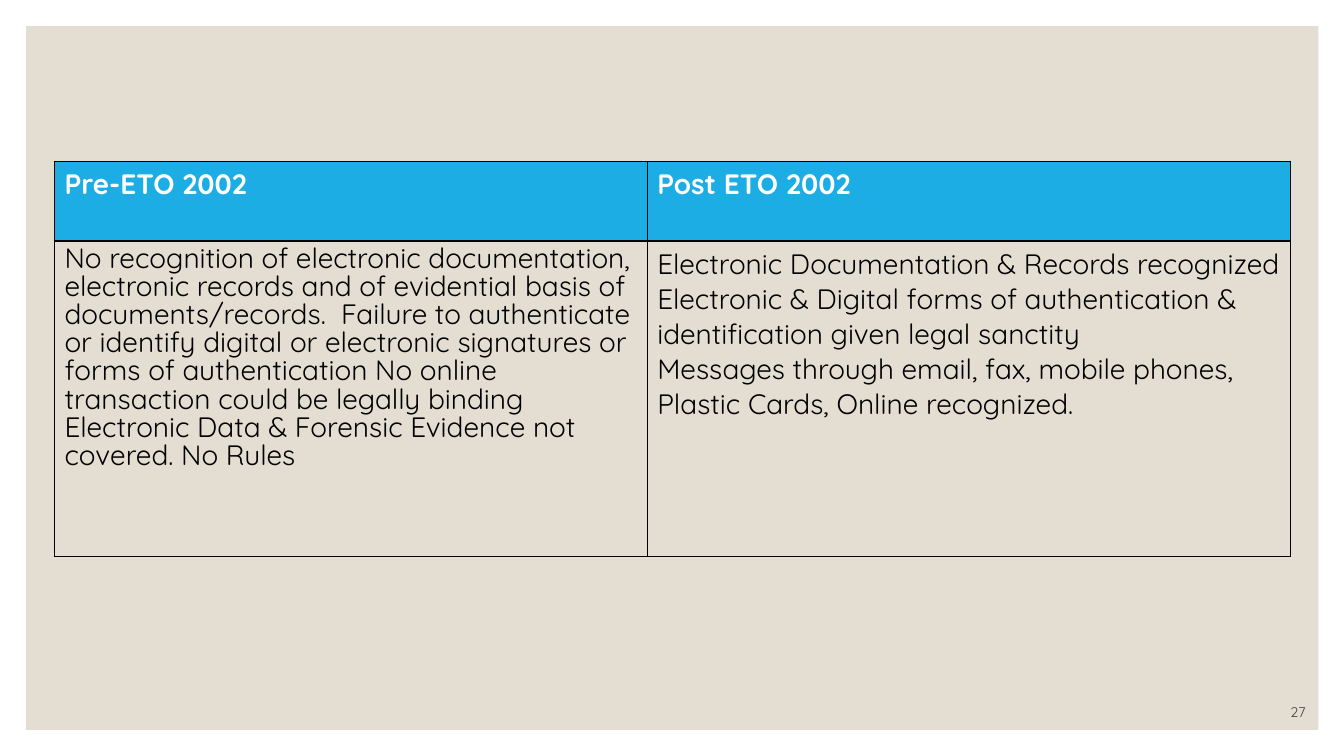
from lxml import etree
from pptx import Presentation
from pptx.dml.color import RGBColor
from pptx.enum import shapes, text
from pptx.oxml import ns
from pptx.util import Pt

FONT = "Quicksand"
COLS = [423.4, 459.4]
ROWS = [57, 225.4]
HEADS = ["Pre-ETO 2002", "Post ETO 2002"]
PRE = [
    "No recognition of electronic documentation, electronic records and of "
    "evidential basis of documents/records.  Failure to authenticate or "
    "identify digital or electronic signatures or forms of authentication "
    "No online transaction could be legally binding Electronic Data & "
    "Forensic Evidence not covered. No Rules"
]
POST = [
    "Electronic Documentation & Records recognized",
    "Electronic & Digital forms of authentication & identification given "
    "legal sanctity",
    "Messages through email, fax, mobile phones, Plastic Cards, Online "
    "recognized.",
]


def color(code):
    return RGBColor.from_string(code)


def write(frame, lines, ink, para=None, **font):
    """Fill a text frame with one paragraph per line."""
    frame.word_wrap = True
    for i, line in enumerate(lines):
        p = frame.add_paragraph() if i else frame.paragraphs[0]
        for key, value in (para or {}).items():
            setattr(p, key, value)
        run = p.add_run()
        run.text = line
        run.font.color.rgb = color(ink)
        for key, value in {"name": FONT, **font}.items():
            setattr(run.font, key, value)


def panel(slide, box, fill):
    rect = slide.shapes.add_shape(
        shapes.MSO_SHAPE.RECTANGLE, *map(Pt, box))
    rect.shadow.inherit = False
    rect.fill.solid()
    rect.fill.fore_color.rgb = color(fill)
    rect.line.fill.background()


def number(slide, box, label):
    frame = slide.shapes.add_textbox(*map(Pt, box)).text_frame
    frame.vertical_anchor = text.MSO_ANCHOR.BOTTOM
    write(frame, [label], "404040",
          {"alignment": text.PP_ALIGN.RIGHT}, size=Pt(10))


def border(cell, ink, width):
    props = cell._tc.get_or_add_tcPr()
    for i, side in enumerate(("lnL", "lnR", "lnT", "lnB")):
        line = etree.Element(ns.qn("a:" + side), w=str(Pt(width)))
        fill = etree.SubElement(line, ns.qn("a:solidFill"))
        etree.SubElement(fill, ns.qn("a:srgbClr"), val=ink)
        props.insert(i, line)


def style(cell, fill):
    if fill:
        cell.fill.solid()
        cell.fill.fore_color.rgb = color(fill)
    else:
        cell.fill.background()
    border(cell, "000000", 1)


def grid(slide, left, top):
    """Add the table that compares the law before and after 2002."""
    table = slide.shapes.add_table(
        len(ROWS), len(COLS), Pt(left), Pt(top),
        Pt(sum(COLS)), Pt(sum(ROWS))).table
    for col, width in zip(table.columns, COLS):
        col.width = Pt(width)
    for row, height in zip(table.rows, ROWS):
        row.height = Pt(height)
    bodies = [(PRE, {"line_spacing": 0.8}), (POST, {})]
    for i, (head, (lines, para)) in enumerate(zip(HEADS, bodies)):
        top_cell, low_cell = table.cell(0, i), table.cell(1, i)
        style(top_cell, "1CADE4")
        style(low_cell, None)
        write(top_cell.text_frame, [head], "FFFFFF", size=Pt(20), bold=True)
        write(low_cell.text_frame, lines, "000000", para,
              size=Pt(20), bold=False)


def main():
    deck = Presentation()
    deck.slide_width, deck.slide_height = Pt(960), Pt(540)
    slide = deck.slides.add_slide(deck.slide_layouts[6])
    panel(slide, (18.7, 18.7, 923, 502.6), "E3DED1")
    number(slide, (824.4, 496.8, 115.2, 21.6), "27")
    grid(slide, 38.9, 115.2)
    deck.save("out.pptx")


if __name__ == "__main__":
    main()
